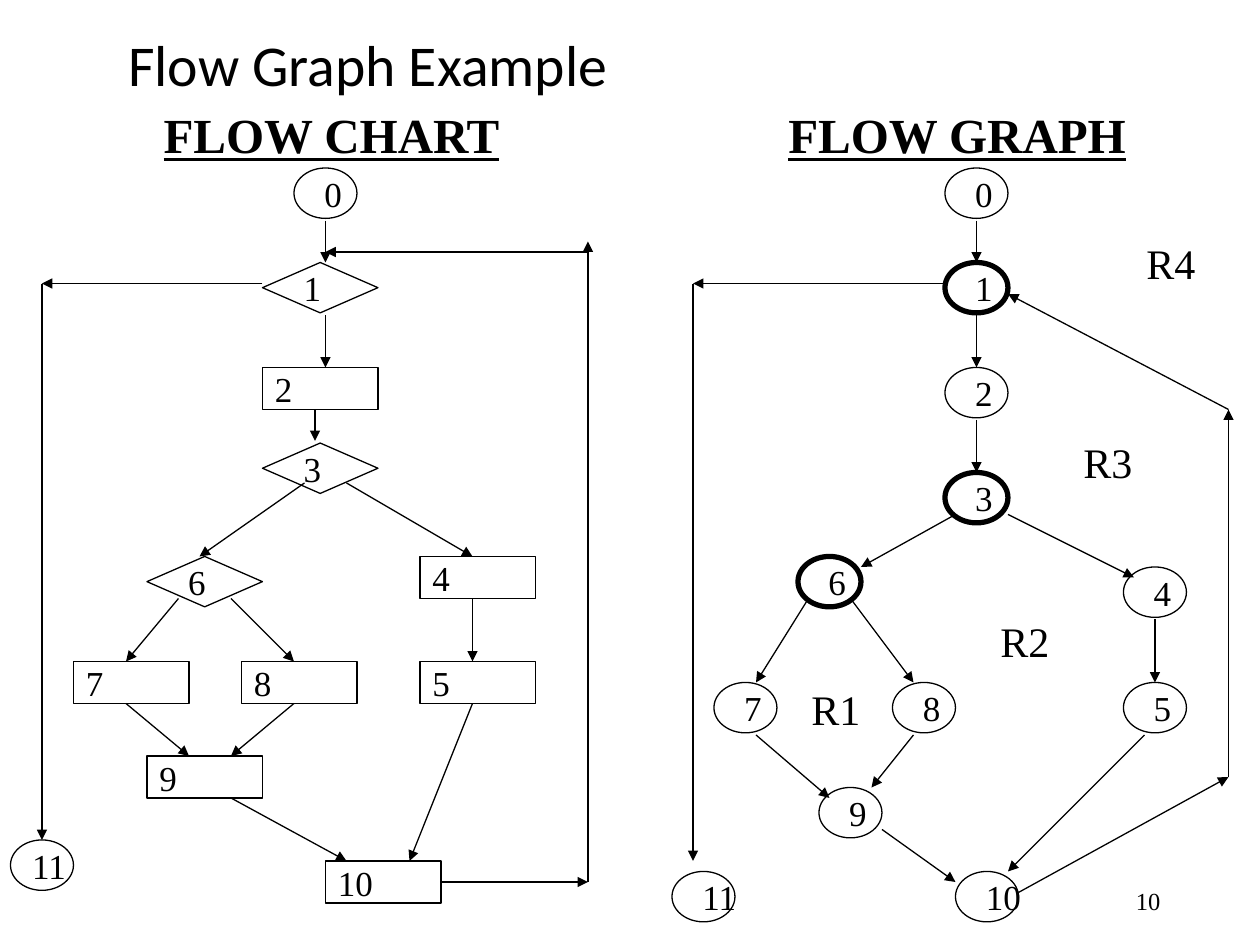
from lxml.etree import SubElement
from pptx import Presentation
from pptx.dml.color import RGBColor
from pptx.enum.shapes import MSO_CONNECTOR, MSO_SHAPE
from pptx.enum.text import MSO_ANCHOR, MSO_AUTO_SIZE, PP_ALIGN
from pptx.oxml.ns import qn
from pptx.util import Cm, Pt

COLORS = {"ink": "000000"}
GRID = 2.54 / 12  # centimetres in one grid step

TITLE = "Flow Graph Example"
TITLE_BOX = (11, 0, 102, 13)  # left, top, width, height in grid steps
PAGE_NUMBER = "10"
PAGE_NUMBER_BOX = (84.7, 83.4, 27, 4.8)

# Free text: text, left, top, width, height
HEADINGS = [
    ("FLOW CHART", 14.4, 9.4, 34.6, 6.8),
    ("FLOW GRAPH", 73.9, 9.4, 34.6, 6.8),
]
REGIONS = [
    ("R1", 76.1, 64.5, 7.1, 6),
    ("R2", 94.1, 58, 7.1, 6),
    ("R3", 102, 41, 7.1, 6),
    ("R4", 108, 22, 7.1, 6),
]

# Node kinds: preset, width, height, line width
KINDS = {
    "step": (MSO_SHAPE.RECTANGLE, 11, 4, 0.75),
    "decision": (MSO_SHAPE.FLOWCHART_DECISION, 11, 4.8, 0.75),
    "circle": (MSO_SHAPE.OVAL, 6, 4.8, 0.75),
    "predicate": (MSO_SHAPE.OVAL, 6, 4.8, 3),
}

# Nodes: label, kind, left, top
CHART_NODES = [
    (" 0", "circle", 28, 16), ("1", "decision", 25, 25),
    ("2", "step", 25, 35), ("3", "decision", 25, 42.2),
    ("4", "step", 40, 53), ("5", "step", 40, 63),
    ("6", "decision", 14, 53), ("7", "step", 7, 63),
    ("8", "step", 23, 63), ("9", "step", 14, 72),
    ("10", "step", 31, 82), ("11", "circle", 1, 80),
]
GRAPH_NODES = [
    (" 0", "circle", 90, 16), (" 1", "predicate", 90, 25),
    (" 2", "circle", 90, 35), (" 3", "predicate", 90, 45),
    (" 4", "circle", 107, 54), (" 5", "circle", 107, 65),
    (" 6", "predicate", 76, 53), (" 7", "circle", 68, 65),
    (" 8", "circle", 85, 65), (" 9", "circle", 78, 75),
    (" 10", "circle", 91, 83), (" 11", "circle", 64, 83),
]

# Arrows: start x, start y, end x, end y
CHART_ARROWS = [
    (31, 21, 31, 25), (31, 30, 31, 35), (30, 39, 30, 42),
    (29, 46, 19, 53), (33, 46, 45, 53), (45, 57, 45, 63),
    (17, 57, 12, 63), (22, 57, 28, 63), (12, 67, 18, 72),
    (28, 67, 22, 72), (22, 76, 33, 82), (45, 67, 39, 82),
    (25, 27, 4, 27), (4, 27, 4, 80),
    (42, 84, 56, 84), (56, 84, 56, 23), (56, 24, 31, 24),
]
GRAPH_ARROWS = [
    (93, 21, 93, 25), (93, 30, 93, 35), (93, 40, 93, 45),
    (91, 49, 82, 54), (96, 49, 108, 55), (77, 57, 72, 65),
    (81, 57, 87, 65), (72, 70, 79, 76), (87, 70, 83, 75),
    (84, 79, 91, 84), (109, 70, 96, 83), (110, 59, 110, 65),
    (90, 27, 66, 27), (66, 27, 66, 82),
    (97, 85, 117, 74), (117, 74, 117, 39), (117, 39, 96, 28),
]

# Text formats
SERIF = "Times New Roman"
TITLE_FONT = {"name": "Calibri", "size": Pt(33)}
HEADING_FONT = {"name": SERIF, "size": Pt(28), "bold": True, "underline": True}
REGION_FONT = {"name": SERIF, "size": Pt(24)}
NODE_FONT = {"name": SERIF, "size": Pt(20)}
PAGE_FONT = {"name": SERIF, "size": Pt(14)}
CENTERED_FRAME = {"word_wrap": False, "vertical_anchor": MSO_ANCHOR.MIDDLE}
GROWING_FRAME = {"word_wrap": False, "auto_size": MSO_AUTO_SIZE.SHAPE_TO_FIT_TEXT}
PAGE_FRAME = {"word_wrap": True, "vertical_anchor": MSO_ANCHOR.MIDDLE}
LEFT = {"alignment": PP_ALIGN.LEFT}
RIGHT = {"alignment": PP_ALIGN.RIGHT}


def steps(*values):
    return [Cm(value * GRID) for value in values]


def apply(target, settings):
    for attribute, value in settings.items():
        setattr(target, attribute, value)


def ink(color):
    color.rgb = RGBColor.from_string(COLORS["ink"])


def write(holder, text, font, frame, paragraph=LEFT):
    apply(holder.text_frame, frame)
    line = holder.text_frame.paragraphs[0]
    apply(line, paragraph)
    words = line.add_run()
    words.text = text
    apply(words.font, font)
    ink(words.font.color)


def add_node(slide, label, kind, left, top):
    preset, width, height, weight = KINDS[kind]
    node = slide.shapes.add_shape(preset, *steps(left, top, width, height))
    node.shadow.inherit = False
    node.fill.background()
    ink(node.line.color)
    node.line.width = Pt(weight)
    write(node, label, NODE_FONT, CENTERED_FRAME)


def add_arrow(slide, *ends):
    arrow = slide.shapes.add_connector(MSO_CONNECTOR.STRAIGHT, *steps(*ends))
    ink(arrow.line.color)
    arrow.line.width = Pt(0.75)
    properties = arrow.line._get_or_add_ln()
    SubElement(properties, qn("a:tailEnd"), type="triangle")
    SubElement(properties.getparent(), qn("a:effectLst"))


def main():
    deck = Presentation()
    deck.slide_width, deck.slide_height = Cm(25.4), Cm(19.05)
    slide = deck.slides.add_slide(deck.slide_layouts[5])

    # Title and page number
    title = slide.shapes.title
    apply(title, dict(zip(("left", "top", "width", "height"), steps(*TITLE_BOX))))
    write(title, TITLE, TITLE_FONT, {"vertical_anchor": MSO_ANCHOR.MIDDLE},
          {**LEFT, "line_spacing": 0.9})
    page = slide.shapes.add_textbox(*steps(*PAGE_NUMBER_BOX))
    write(page, PAGE_NUMBER, PAGE_FONT, PAGE_FRAME, RIGHT)

    # Flow chart, then flow graph
    for nodes, arrows in ((CHART_NODES, CHART_ARROWS), (GRAPH_NODES, GRAPH_ARROWS)):
        for node in nodes:
            add_node(slide, *node)
        for arrow in arrows:
            add_arrow(slide, *arrow)

    # Region labels and headings
    for captions, font in ((REGIONS, REGION_FONT), (HEADINGS, HEADING_FONT)):
        for text, *box in captions:
            caption = slide.shapes.add_textbox(*steps(*box))
            write(caption, text, font, GROWING_FRAME)

    deck.save("out.pptx")


if __name__ == "__main__":
    main()
